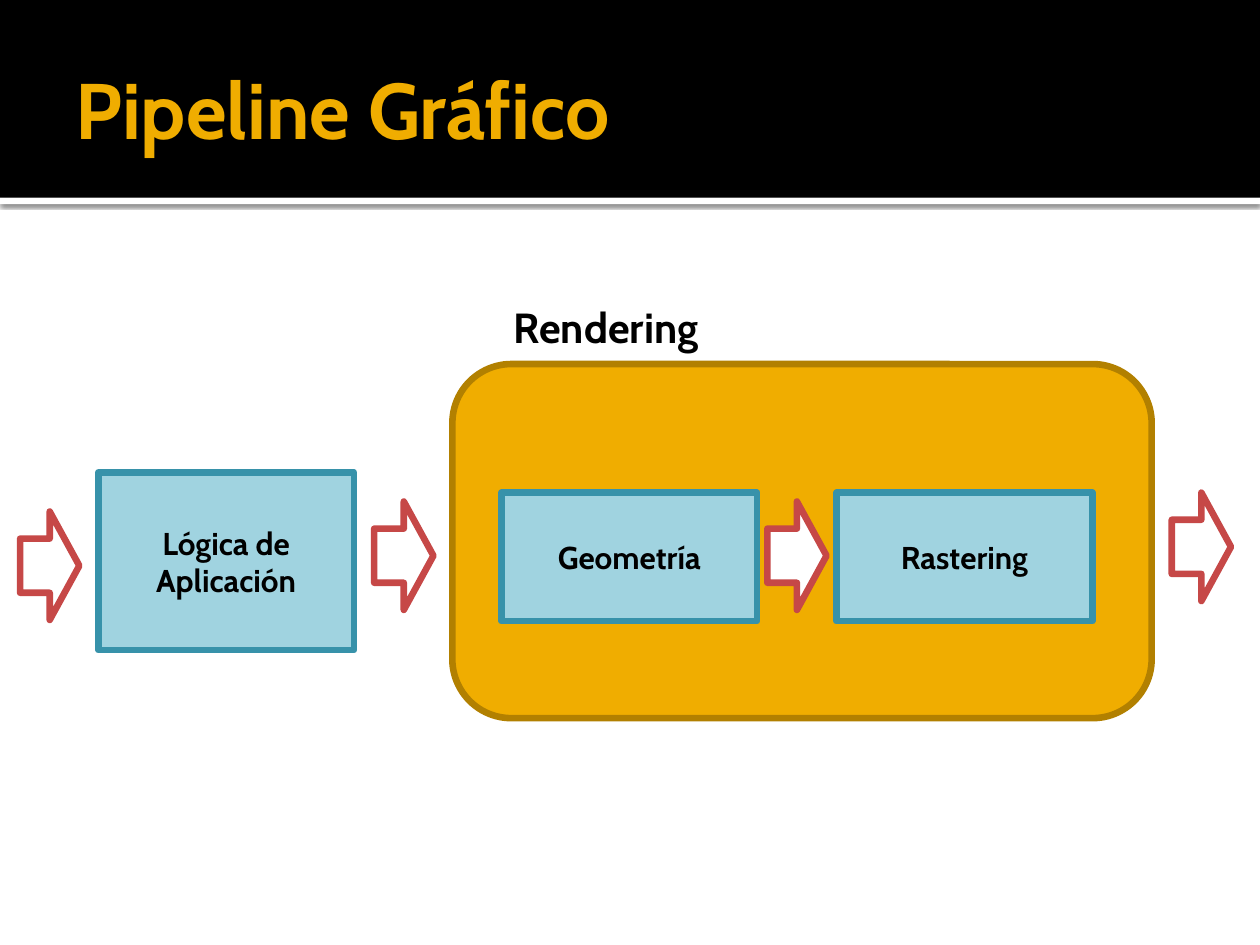
"""Build the graphics pipeline slide: application logic, then rendering in two stages."""
import pptx
import pptx.util
import pptx.dml.color
import pptx.enum.shapes
import pptx.enum.text
import lxml.etree

RGB = pptx.dml.color.RGBColor
Pt = pptx.util.Pt
KIND = pptx.enum.shapes.MSO_SHAPE
BLACK = RGB(0, 0, 0)
WHITE = RGB(255, 255, 255)
GOLD = RGB(0xF0, 0xAD, 0x00)
BROWN = RGB(0xB2, 0x80, 0x00)
SKY = RGB(0xA0, 0xD3, 0xE0)
TEAL = RGB(0x37, 0x92, 0xAA)
RED = RGB(0xC6, 0x48, 0x47)

deck = pptx.Presentation()
deck.slide_width = pptx.util.Inches(10)
deck.slide_height = pptx.util.Inches(7.5)
col = deck.slide_width / 100
row = deck.slide_height / 100
slide = deck.slides.add_slide(deck.slide_layouts[5])


def draw(kind, x, y, wide, high, fill, line=None):
    shape = slide.shapes.add_shape(
        kind, int(x * col), int(y * row), int(wide * col), int(high * row))
    shape.shadow.inherit = False
    shape.fill.solid()
    shape.fill.fore_color.rgb = fill
    if line is None:
        shape.line.fill.background()
    else:
        shape.line.color.rgb = line
        shape.line.width = Pt(3.78)
    return shape


def write(shape, text, size, color, align):
    frame = shape.text_frame
    frame.text = text
    para = frame.paragraphs[0]
    para.alignment = align
    para.font.name = "Cabin"
    para.font.size = Pt(size)
    para.font.bold = True
    para.font.color.rgb = color
    return frame


LEFT = pptx.enum.text.PP_ALIGN.LEFT
MID = pptx.enum.text.PP_ALIGN.CENTER
CENTER = pptx.enum.text.MSO_ANCHOR.MIDDLE

strip = draw(KIND.RECTANGLE, 0, 20.93, 100, 0.67, WHITE)
glow = strip._element.spPr.find(pptx.oxml.ns.qn("a:effectLst"))
glow.append(lxml.etree.fromstring(
    '<a:outerShdw xmlns:a="http://schemas.openxmlformats.org/drawingml/2006/main" '
    'blurRad="31750" dist="10160" dir="5400000" rotWithShape="0">'
    '<a:srgbClr val="000000"><a:alpha val="60000"/></a:srgbClr></a:outerShdw>'))
draw(KIND.RECTANGLE, 0, 0, 100, 20.93, BLACK)

title = slide.shapes.title
slide.shapes._spTree.append(title._element)
title.left, title.top = int(5 * col), int(2.27 * row)
title.width, title.height = int(90 * col), int(18.27 * row)
frame = write(title, "Pipeline Gráfico", 45, GOLD, LEFT)
frame.vertical_anchor = CENTER
frame.margin_left = pptx.util.Inches(0.1)
frame.margin_right = pptx.util.Inches(0.05)

draw(KIND.ROUNDED_RECTANGLE, 35.9, 38.53, 55.5, 37.47, GOLD, BROWN)

for text, x, y, high in (("Lógica de Aplicación", 7.8, 50, 18.8),
                         ("Geometría", 39.8, 52.13, 13.6),
                         ("Rastering", 66.4, 52.13, 13.6)):
    stage = draw(KIND.RECTANGLE, x, y, 20.3, high, SKY, TEAL)
    frame = write(stage, text, 18, BLACK, MID)
    frame.vertical_anchor = CENTER

label = slide.shapes.add_textbox(
    int(39.8 * col), int(31.2 * row), int(17 * col), int(6.67 * row))
frame = write(label, "Rendering", 24, BLACK, LEFT)
frame.word_wrap = False
frame.auto_size = pptx.enum.text.MSO_AUTO_SIZE.SHAPE_TO_FIT_TEXT

for x, y in ((29.7, 53.07), (1.6, 54.13), (93, 52.13), (60.9, 53.07)):
    draw(KIND.RIGHT_ARROW, x, y, 4.7, 11.47, WHITE, RED)

deck.save("out.pptx")
